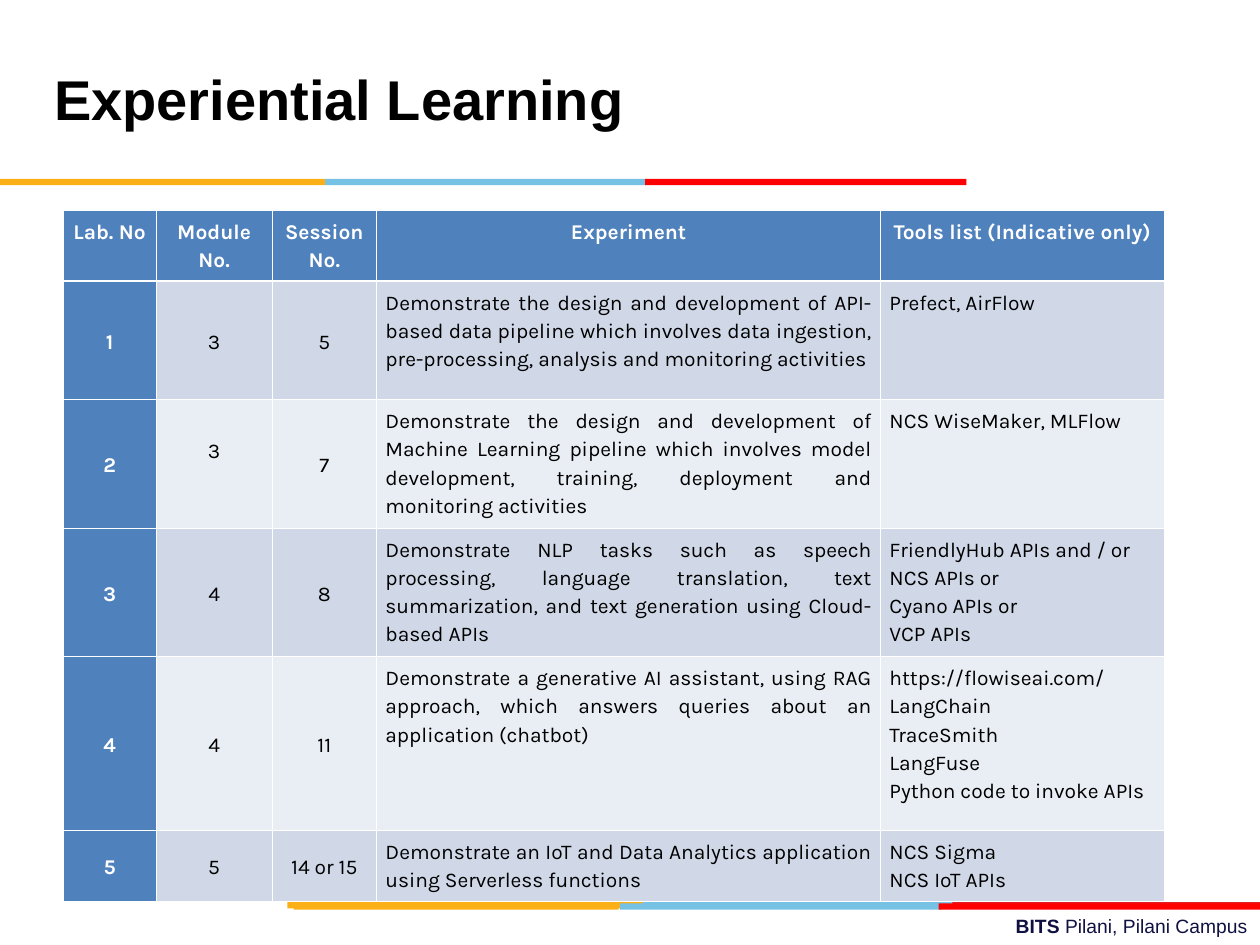
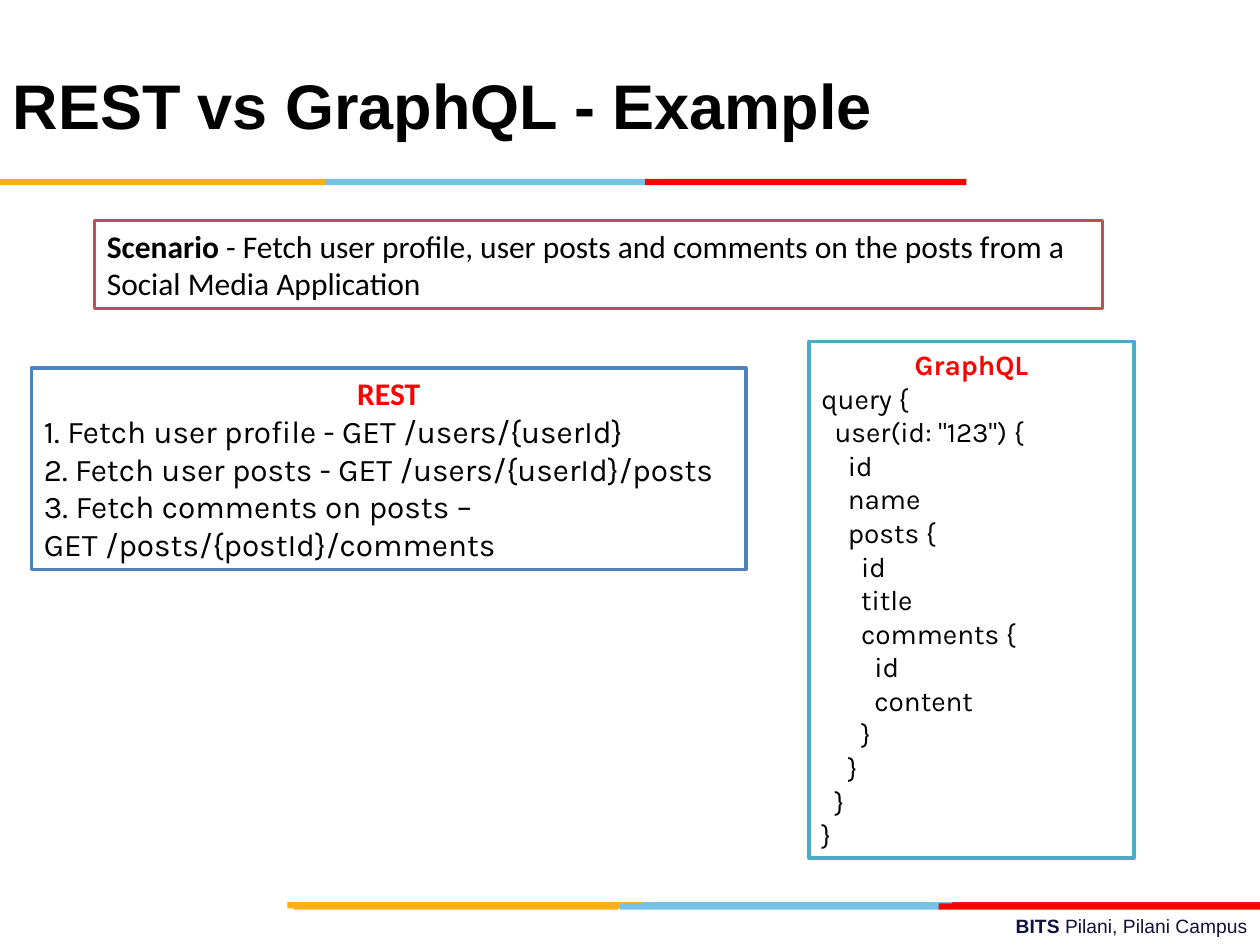
from lxml import etree
from pptx import Presentation
from pptx.dml.color import RGBColor
from pptx.enum.shapes import MSO_SHAPE
from pptx.enum.text import MSO_ANCHOR, MSO_AUTO_SIZE, PP_ALIGN
from pptx.oxml.ns import qn
from pptx.util import Inches, Pt

RECTANGLE = MSO_SHAPE.RECTANGLE
TOP, MIDDLE = MSO_ANCHOR.TOP, MSO_ANCHOR.MIDDLE
LEFT, CENTER = PP_ALIGN.LEFT, PP_ALIGN.CENTER
RIGHT, JUSTIFY = PP_ALIGN.RIGHT, PP_ALIGN.JUSTIFY
NO_AUTOFIT = MSO_AUTO_SIZE.NONE

BLACK = RGBColor(0x00, 0x00, 0x00)
WHITE = RGBColor(0xFF, 0xFF, 0xFF)
NAVY = RGBColor(0x10, 0x11, 0x41)
AMBER = RGBColor(0xFC, 0xB0, 0x17)
SKY = RGBColor(0x76, 0xC2, 0xE5)
CRIMSON = RGBColor(0xE3, 0x1C, 0x24)
RED = RGBColor(0xFF, 0x00, 0x00)
BLUE = RGBColor(0x4F, 0x81, 0xBD)
BRICK = RGBColor(0xC0, 0x50, 0x4D)
TEAL = RGBColor(0x4B, 0xAC, 0xC6)
ROW_DARK = RGBColor(0xD0, 0xD8, 0xE8)
ROW_LIGHT = RGBColor(0xE9, 0xED, 0xF4)

# Shared bands: left, top, width, colour
BAND_HEIGHT = 0.05
BANDS = [
    (5.06, 7.16, 2.55, SKY),
    (7.56, 7.16, 2.44, CRIMSON),
    (2.28, 7.16, 2.82, AMBER),
    (4.92, 7.17, 2.55, SKY),
    (2.33, 7.17, 2.58, AMBER),
    (7.45, 7.17, 2.55, RED),
    (2.58, 1.42, 2.55, SKY),
    (0, 1.42, 2.58, AMBER),
    (5.12, 1.42, 2.55, RED),
]

# Text formats
TITLE = {"name": "Arial", "bold": True, "color": BLACK}
FOOTER = {"name": "Arial", "size": Pt(11), "bold": False, "color": NAVY}
CALIBRI = {"name": "Calibri", "size": Pt(18), "bold": False, "color": BLACK}
KARLA = {**CALIBRI, "name": "Karla"}
CODE = {**KARLA, "size": Pt(16)}
CELL = {**KARLA, "size": Pt(12)}
CELL_HEAD = {**CELL, "bold": True, "color": WHITE}
HEADING = {"bold": True, "color": RED}

# Experiment table
COLUMN_WIDTHS = [0.74, 0.92, 0.83, 4, 2.25]
COLUMN_ALIGNS = [CENTER, CENTER, CENTER, JUSTIFY, LEFT]
ROW_HEIGHTS = [0.56, 0.94, 1.02, 1.02, 1.38, 0.56]
EXPERIMENTS = [
    ["Lab. No", "Module No.", "Session No.", "Experiment", "Tools list (Indicative only)"],
    ["1", "3", "5",
     "Demonstrate the design and development of API-based data pipeline which "
     "involves data ingestion, pre-processing, analysis and monitoring activities",
     "Prefect, AirFlow"],
    ["2", "3", "7",
     "Demonstrate the design and development of Machine Learning pipeline which "
     "involves model development, training, deployment and monitoring activities",
     "NCS WiseMaker, MLFlow"],
    ["3", "4", "8",
     "Demonstrate NLP tasks such as speech processing, language translation, text "
     "summarization, and text generation using Cloud-based APIs",
     "FriendlyHub APIs and / or\nNCS APIs or\nCyano APIs or\nVCP APIs"],
    ["4", "4", "11",
     "Demonstrate a generative AI assistant, using RAG approach, which answers "
     "queries about an application (chatbot)",
     "https://flowiseai.com/\nLangChain\nTraceSmith\nLangFuse\nPython code to invoke APIs"],
    ["5", "5", "14 or 15",
     "Demonstrate an IoT and Data Analytics application using Serverless functions",
     "NCS Sigma\nNCS IoT APIs"],
]

REST_CALLS = [
    "1. Fetch user profile - GET /users/{userId}",
    "2. Fetch user posts - GET /users/{userId}/posts",
    "3. Fetch comments on posts –",
    "GET /posts/{postId}/comments",
]

SCENARIO = [
    ("Scenario", {"bold": True}),
    (" - Fetch user profile, user posts and comments on the posts from a "
     "Social Media Application", {}),
]

GRAPHQL_QUERY = """query {
  user(id: "123") {
    id
    name
    posts {
      id
      title
      comments {
        id
        content
      }
    }
  }
}"""


class LectureDeck:
    """Holds the deck style and the slide being built."""

    def __init__(self):
        self.deck = Presentation()
        self.deck.slide_width, self.deck.slide_height = Inches(10), Inches(7.5)
        self.page = None

    def add_page(self, title, left, top, width, size):
        self.page = self.deck.slides.add_slide(self.deck.slide_layouts[5])
        for band_left, band_top, band_width, color in BANDS:
            self.rectangle(band_left, band_top, band_width, BAND_HEIGHT, color)
        self.footer()
        box = self.page.shapes.title
        for side, value in zip(("left", "top", "width", "height"), (left, top, width, 1.25)):
            setattr(box, side, Inches(value))
        frame = box.text_frame
        frame.auto_size, frame.vertical_anchor = NO_AUTOFIT, MIDDLE
        self.add_text(frame, [title], {**TITLE, "size": Pt(size)}, spacing=Pt(36))

    def add_text(self, frame, lines, style, align=LEFT, spacing=1.0):
        """Each line is a string or a list of (text, format changes) spans."""
        for index, line in enumerate(lines):
            para = frame.paragraphs[0] if index == 0 else frame.add_paragraph()
            para.alignment, para.line_spacing = align, spacing
            spans = [(line, {})] if isinstance(line, str) else line
            for text, changes in spans:
                span = para.add_run()
                span.text = text
                for key, value in {**style, **changes}.items():
                    if key == "color":
                        span.font.color.rgb = value
                    else:
                        setattr(span.font, key, value)

    def rectangle(self, left, top, width, height, fill, line=None):
        box = self.page.shapes.add_shape(
            RECTANGLE, Inches(left), Inches(top), Inches(width), Inches(height))
        box.shadow.inherit = False
        box.fill.solid()
        box.fill.fore_color.rgb = fill
        if line is None:
            box.line.fill.background()
        else:
            box.line.color.rgb = line
            box.line.width = Pt(2)
        return box

    def footer(self):
        box = self.page.shapes.add_textbox(Inches(3.58), Inches(7.21), Inches(6.42), Inches(0.29))
        box.text_frame.word_wrap = True
        self.add_text(box.text_frame, [[("BITS ", {"bold": True}), ("Pilani, Pilani Campus", {})]],
                      FOOTER, RIGHT)

    def framed_text(self, left, top, width, height, line, lines, style):
        frame = self.rectangle(left, top, width, height, WHITE, line).text_frame
        frame.word_wrap, frame.vertical_anchor = True, TOP
        self.add_text(frame, lines, style)
        return frame

    def headed_text(self, left, top, width, height, line, heading, font_name, lines, style):
        first = [(heading, {**HEADING, "name": font_name})]
        frame = self.framed_text(left, top, width, height, line, [first] + lines, style)
        frame.paragraphs[0].alignment = CENTER

    def borders(self, cell, widths):
        properties = cell._tc.get_or_add_tcPr()
        for index, (side, width) in enumerate(widths.items()):
            edge = etree.Element(qn(f"a:{side}"), w=str(int(Pt(width))))
            fill = etree.SubElement(edge, qn("a:solidFill"))
            etree.SubElement(fill, qn("a:srgbClr"), val=str(WHITE))
            properties.insert(index, edge)

    def table(self, left, top, rows, widths, heights, aligns):
        table = self.page.shapes.add_table(
            len(rows), len(widths), Inches(left), Inches(top),
            Inches(sum(widths)), Inches(sum(heights))).table
        for column, width in zip(table.columns, widths):
            column.width = Inches(width)
        for r, (row, height) in enumerate(zip(rows, heights)):
            table.rows[r].height = Inches(height)
            for c, text in enumerate(row):
                cell = table.cell(r, c)
                is_head = r == 0 or c == 0
                cell.margin_left = cell.margin_right = Inches(0.07)
                cell.margin_top = cell.margin_bottom = Inches(0.05)
                cell.vertical_anchor = MIDDLE if r > 0 and c < 3 else TOP
                cell.fill.solid()
                cell.fill.fore_color.rgb = BLUE if is_head else (ROW_DARK if r % 2 else ROW_LIGHT)
                self.add_text(cell.text_frame, text.split("\n"), CELL_HEAD if is_head else CELL,
                              CENTER if r == 0 else aligns[c], 1.15)
                self.borders(cell, {"lnL": 0.45, "lnR": 0.45,
                                    "lnT": 1.47 if r == 1 else 0.45,
                                    "lnB": 1.47 if r == 0 else 0.45})
        return table


def main():
    lecture = LectureDeck()

    # Experiential learning
    lecture.add_page("Experiential Learning", 0.33, 0.17, 6.92, 32)
    table = lecture.table(0.5, 1.67, EXPERIMENTS, COLUMN_WIDTHS, ROW_HEIGHTS, COLUMN_ALIGNS)
    table.cell(2, 1).margin_bottom = Inches(0.27)  # module number sits a little high

    # REST and GraphQL
    lecture.add_page("REST vs GraphQL - Example", 0, 0.25, 7.33, 36)
    lecture.headed_text(0.25, 2.92, 5.67, 1.6, BLUE, "REST", "Calibri", REST_CALLS, KARLA)
    lecture.framed_text(0.75, 1.75, 8, 0.7, BRICK, [SCENARIO], CALIBRI)
    lecture.headed_text(6.42, 2.71, 2.58, 4.1, TEAL, "GraphQL", "Karla",
                        GRAPHQL_QUERY.split("\n"), CODE)

    lecture.deck.save("out.pptx")


if __name__ == "__main__":
    main()
